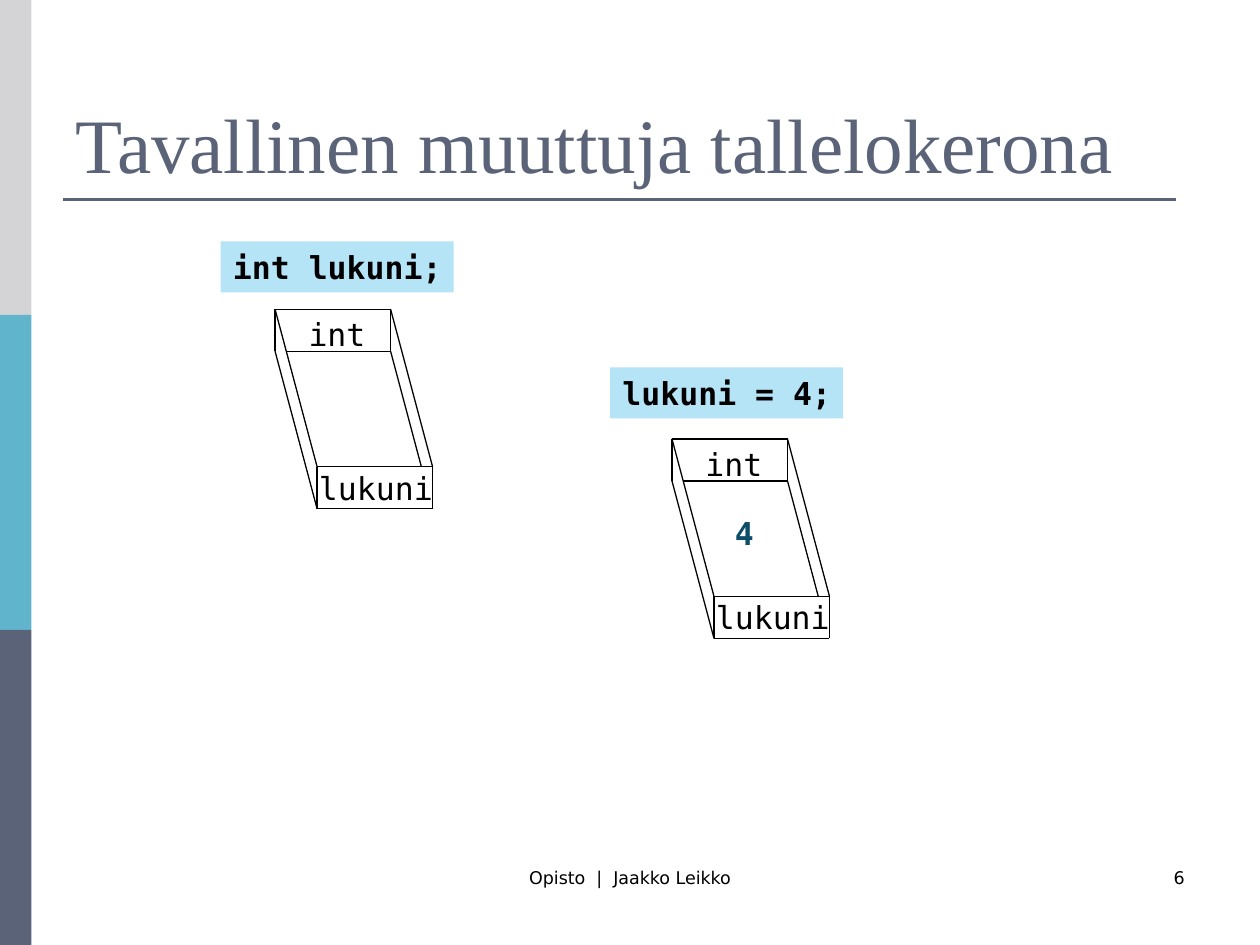
import lxml.etree
import pptx
import pptx.dml.color
import pptx.enum.shapes
import pptx.enum.text
import pptx.oxml.ns
import pptx.util

RGBColor = pptx.dml.color.RGBColor
Align = pptx.enum.text.PP_ALIGN
Anchor = pptx.enum.text.MSO_ANCHOR

BLACK = RGBColor(0x00, 0x00, 0x00)
SLATE = RGBColor(0x5A, 0x63, 0x78)
TEAL = RGBColor(0x60, 0xB5, 0xCC)
GREY = RGBColor(0xD4, 0xD4, 0xD6)
SKY = RGBColor(0xB6, 0xE4, 0xF7)
PETROL = RGBColor(0x0C, 0x4E, 0x68)

COLUMNS, ROWS = 120, 90
DRAWER_WIDTH, DRAWER_HEIGHT = 11, 4
SLANT, DEPTH = 4, 15


class SlideBuilder:
    serif = "Times New Roman"
    sans = "DejaVu Sans"
    mono = "DejaVu Sans Mono"

    def __init__(self, deck):
        self.page = deck.slides.add_slide(deck.slide_layouts[6])
        self.cell_width = deck.slide_width / COLUMNS
        self.cell_height = deck.slide_height / ROWS

    def place(self, column, row):
        return round(column * self.cell_width), round(row * self.cell_height)

    def block(self, column, row, width, height, color):
        box = self.page.shapes.add_shape(
            pptx.enum.shapes.MSO_SHAPE.RECTANGLE,
            *self.place(column, row), *self.place(width, height))
        box.shadow.inherit = False
        box.fill.solid()
        box.fill.fore_color.rgb = color
        box.line.fill.background()
        return box

    def line(self, start, end, color=BLACK, weight=0.75, parent=None):
        shapes = (parent or self.page).shapes
        stroke = shapes.add_connector(
            pptx.enum.shapes.MSO_CONNECTOR.STRAIGHT,
            *self.place(*start), *self.place(*end))
        stroke.line.color.rgb = color
        stroke.line.width = pptx.util.Pt(weight)
        lxml.etree.SubElement(
            stroke._element.spPr, pptx.oxml.ns.qn("a:effectLst"))

    def fill_text(self, box, text, font, size, color, align=Align.LEFT,
                  anchor=Anchor.TOP, bold=False, wrap=True):
        frame = box.text_frame
        frame.text = text
        frame.word_wrap = wrap
        frame.vertical_anchor = anchor
        para = frame.paragraphs[0]
        para.alignment = align
        span = para.runs[0]
        span.font.name = font
        span.font.size = pptx.util.Pt(size)
        span.font.bold = bold
        span.font.color.rgb = color

    def text(self, column, row, width, height, text, font, size, color, **style):
        box = self.page.shapes.add_textbox(
            *self.place(column, row), *self.place(width, height))
        self.fill_text(box, text, font, size, color, **style)

    def code(self, column, row, text, color=BLACK, bold=False, fill=None):
        width, height = 1.8 * len(text) + 2.4, 4.85
        if fill is None:
            self.text(column, row, width, height, text, self.mono, 18, color,
                      bold=bold, wrap=False)
        else:
            box = self.block(column, row, width, height, fill)
            self.fill_text(box, text, self.mono, 18, color, bold=bold, wrap=False)

    def drawer(self, column, row, kind, name, value=None):
        right, low = column + DRAWER_WIDTH, row + DRAWER_HEIGHT
        front, front_right = column + SLANT, right + SLANT
        front_top, front_low = row + DEPTH, low + DEPTH
        inset = SLANT * DRAWER_HEIGHT / DEPTH
        hidden = SLANT * (DEPTH - DRAWER_HEIGHT) / DEPTH
        edges = [
            ((column, row), (front, front_top)),
            ((right, row), (front_right, front_top)),
            ((column, low), (front, front_low)),
            ((right, low), (right + hidden, front_top)),
            ((column, row), (right, row)),
            ((column + inset, low), (right, low)),
            ((front, front_top), (front_right, front_top)),
            ((front, front_low), (front_right, front_low)),
            ((column, row), (column, low)),
            ((right, row), (right, low)),
            ((front, front_top), (front, front_low)),
            ((front_right, front_top), (front_right, front_low)),
        ]
        group = self.page.shapes.add_group_shape()
        for start, end in edges:
            self.line(start, end, parent=group)
        if value is not None:
            self.code(column + 4.8, row + 6.6, value, PETROL, bold=True)
        self.code(column + 2, row, kind)
        self.code(column + 3, row + 14.6, name)


def main():
    deck = pptx.Presentation()
    deck.slide_width = pptx.util.Inches(10)
    deck.slide_height = pptx.util.Inches(7.5)
    slide = SlideBuilder(deck)

    band = ROWS / 3
    for index, color in enumerate((GREY, TEAL, SLATE)):
        slide.block(0, index * band, 3, band, color)
    slide.line((6, 19), (112, 19), SLATE, 1.5)

    slide.text(41, 82, 38, 6, "Opisto  |  Jaakko Leikko", slide.sans, 10, BLACK,
               align=Align.CENTER)
    slide.text(86, 82, 28, 6, "6", slide.sans, 10, BLACK, align=Align.RIGHT)
    slide.text(6, 3.6, 108, 15, "Tavallinen muuttuja tallelokerona",
               slide.serif, 44, SLATE, anchor=Anchor.BOTTOM)

    slide.code(21, 23, "int lukuni;", bold=True, fill=SKY)
    slide.drawer(26.2, 29.45, "int", "lukuni")
    slide.code(58.1, 35, "lukuni = 4;", bold=True, fill=SKY)
    slide.drawer(64, 41.8, "int", "lukuni", "4")

    deck.save("out.pptx")


if __name__ == "__main__":
    main()
